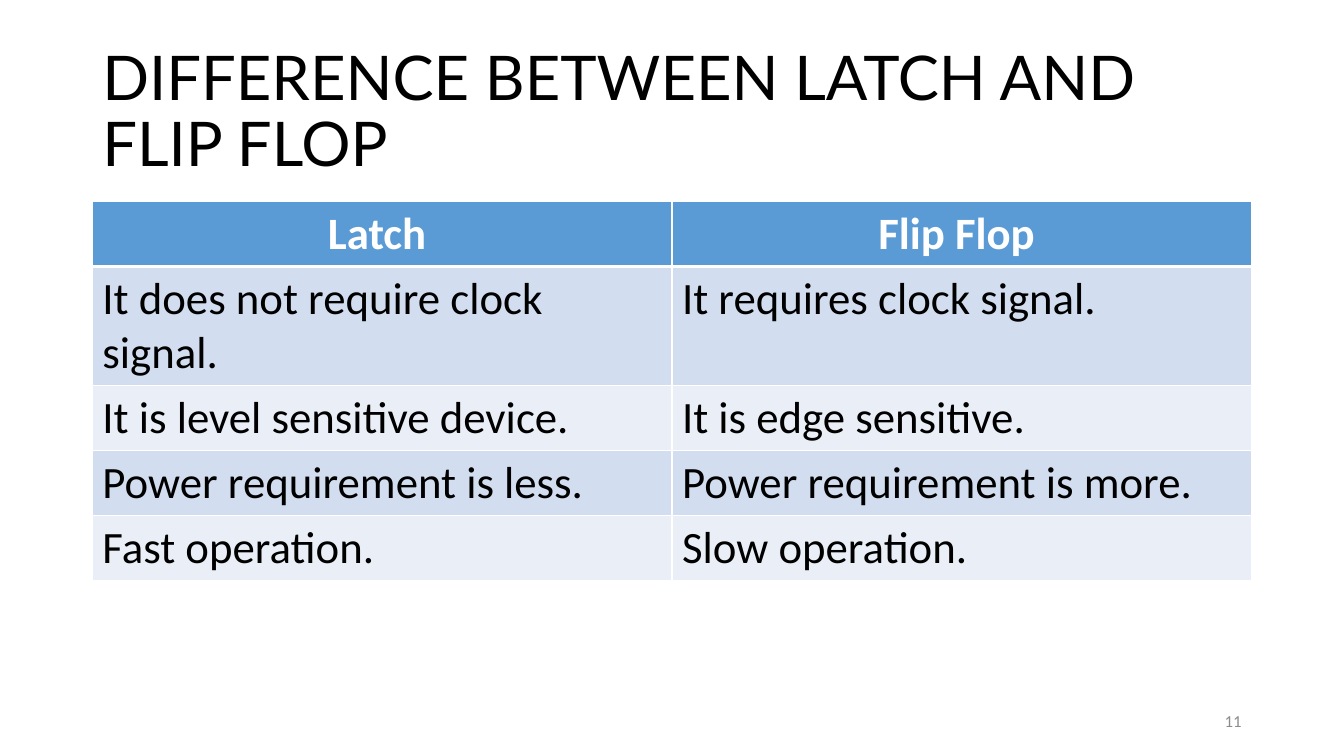
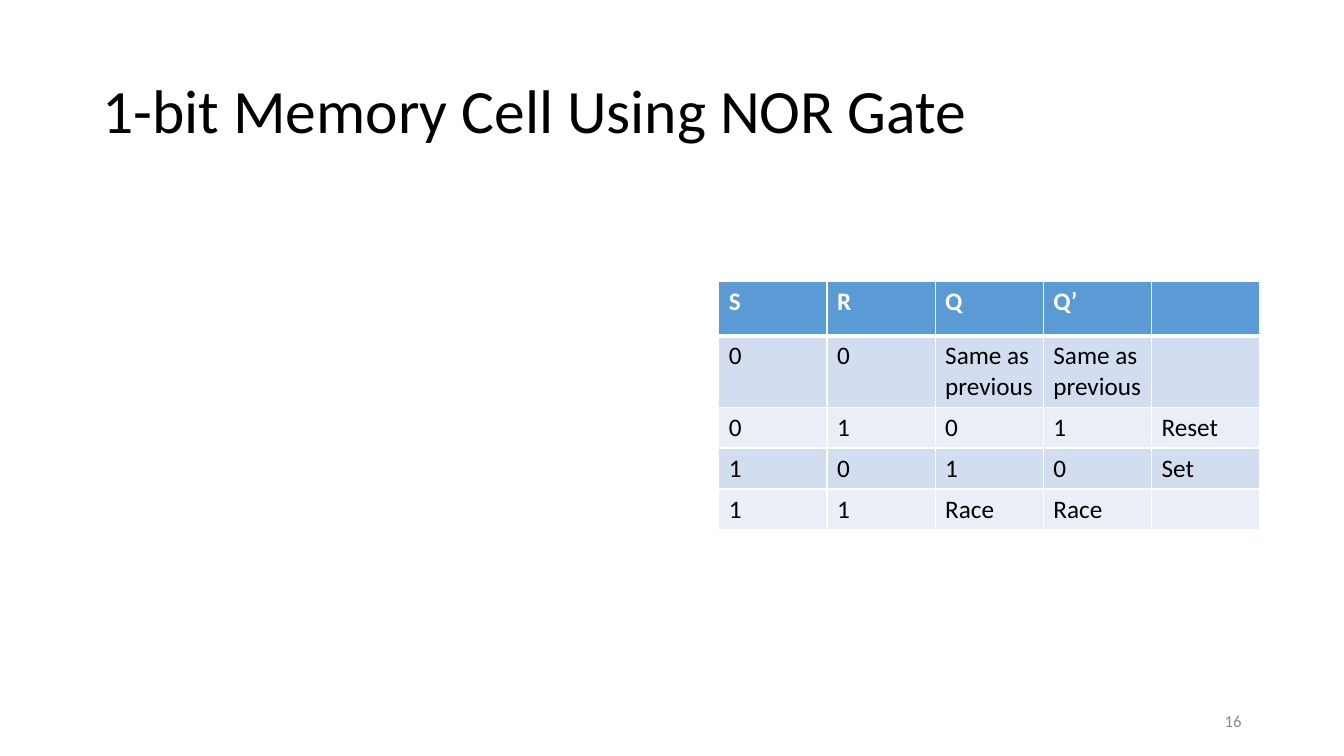
import pptx
import pptx.dml.color
import pptx.enum.text
import pptx.oxml.ns
import pptx.util
from lxml import etree

Pt = pptx.util.Pt
RGBColor = pptx.dml.color.RGBColor
Align = pptx.enum.text.PP_ALIGN
Anchor = pptx.enum.text.MSO_ANCHOR
qn = pptx.oxml.ns.qn

# Shared style
BLACK = RGBColor(0x00, 0x00, 0x00)
WHITE = RGBColor(0xFF, 0xFF, 0xFF)
GRAY = RGBColor(0x8C, 0x8C, 0x8C)
HEADER_BLUE = RGBColor(0x5B, 0x9B, 0xD5)
BAND_COLORS = (RGBColor(0xD2, 0xDE, 0xEF), RGBColor(0xEA, 0xEF, 0xF7))
BODY_FONT = "Calibri"
THIN, THICK = 1, 3

LATCH_ROWS = [
    ("Latch ", "Flip Flop "),
    ("It does not require clock signal.", "It requires clock signal."),
    ("It is level sensitive device.", "It is edge sensitive."),
    ("Power requirement is less.", "Power requirement is more."),
    ("Fast operation.", "Slow operation."),
]
NOR_ROWS = [
    ("S", "R", "Q", "Q’", ""),
    ("0", "0", "Same as previous", "Same as previous", ""),
    ("0", "1", "0", "1", "Reset"),
    ("1", "0", "1", "0", "Set"),
    ("1", "1", "Race", "Race", ""),
]


def style_paragraph(para, size, color, font=BODY_FONT, bold=False, align=Align.LEFT):
    para.alignment = align
    para.font.size = Pt(size)
    para.font.name = font
    para.font.bold = bold
    para.font.color.rgb = color


def add_text(page, text, left, top, width, height, size, color, **style):
    box = page.shapes.add_textbox(Pt(left), Pt(top), Pt(width), Pt(height))
    box.text_frame.word_wrap = True
    box.text_frame.vertical_anchor = Anchor.MIDDLE
    para = box.text_frame.paragraphs[0]
    para.text = text
    style_paragraph(para, size, color, **style)
    return para


def add_page(deck, title, number, title_font=BODY_FONT):
    """Add a blank page with its title and page number."""
    page = deck.slides.add_slide(deck.slide_layouts[6])
    para = add_text(page, title, 66, 28.8, 828, 104.4, 44, BLACK, font=title_font)
    para.line_spacing = 0.9
    add_text(page, str(number), 678, 500.4, 216, 28.8, 12, GRAY, align=Align.RIGHT)
    return page


def set_borders(cell, top, bottom):
    """Draw white cell borders; they must come before the fill in the XML."""
    properties = cell._tc.get_or_add_tcPr()
    sides = (("a:lnL", THIN), ("a:lnR", THIN), ("a:lnT", top), ("a:lnB", bottom))
    for index, (side, width) in enumerate(sides):
        line = etree.Element(qn(side), w=str(Pt(width)))
        fill = etree.SubElement(line, qn("a:solidFill"))
        etree.SubElement(fill, qn("a:srgbClr"), val=str(WHITE))
        properties.insert(index, line)


def add_banded_table(page, rows, left, top, column_width, row_heights, size,
                     header_align=Align.LEFT):
    columns = len(rows[0])
    frame = page.shapes.add_table(len(rows), columns, Pt(left), Pt(top),
                                  Pt(column_width * columns), Pt(sum(row_heights)))
    table = frame.table
    for column in table.columns:
        column.width = Pt(column_width)
    for r, texts in enumerate(rows):
        table.rows[r].height = Pt(row_heights[r])
        header = r == 0
        for c, text in enumerate(texts):
            cell = table.cell(r, c)
            cell.fill.solid()
            cell.fill.fore_color.rgb = HEADER_BLUE if header else BAND_COLORS[(r - 1) % 2]
            set_borders(cell, THICK if r == 1 else THIN, THICK if header else THIN)
            para = cell.text_frame.paragraphs[0]
            para.text = text
            style_paragraph(para, size, WHITE if header else BLACK, bold=header,
                            align=header_align if header else Align.LEFT)


def main():
    deck = pptx.Presentation()
    deck.slide_width, deck.slide_height = Pt(960), Pt(540)

    # Latch and flip flop compared
    page = add_page(deck, "DIFFERENCE BETWEEN LATCH AND FLIP FLOP", 11, title_font="Lato")
    add_banded_table(page, LATCH_ROWS, 66, 144, 414, [46.3, 85.3, 46.3, 46.3, 46.3], 32,
                     header_align=Align.CENTER)

    # Truth table of the NOR memory cell
    page = add_page(deck, "1-bit Memory Cell Using NOR Gate", 16)
    add_banded_table(page, NOR_ROWS, 513.4, 200.9, 77.3, [38.9, 51.1, 29.2, 29.2, 29.2], 18)

    deck.save("out.pptx")


if __name__ == "__main__":
    main()
